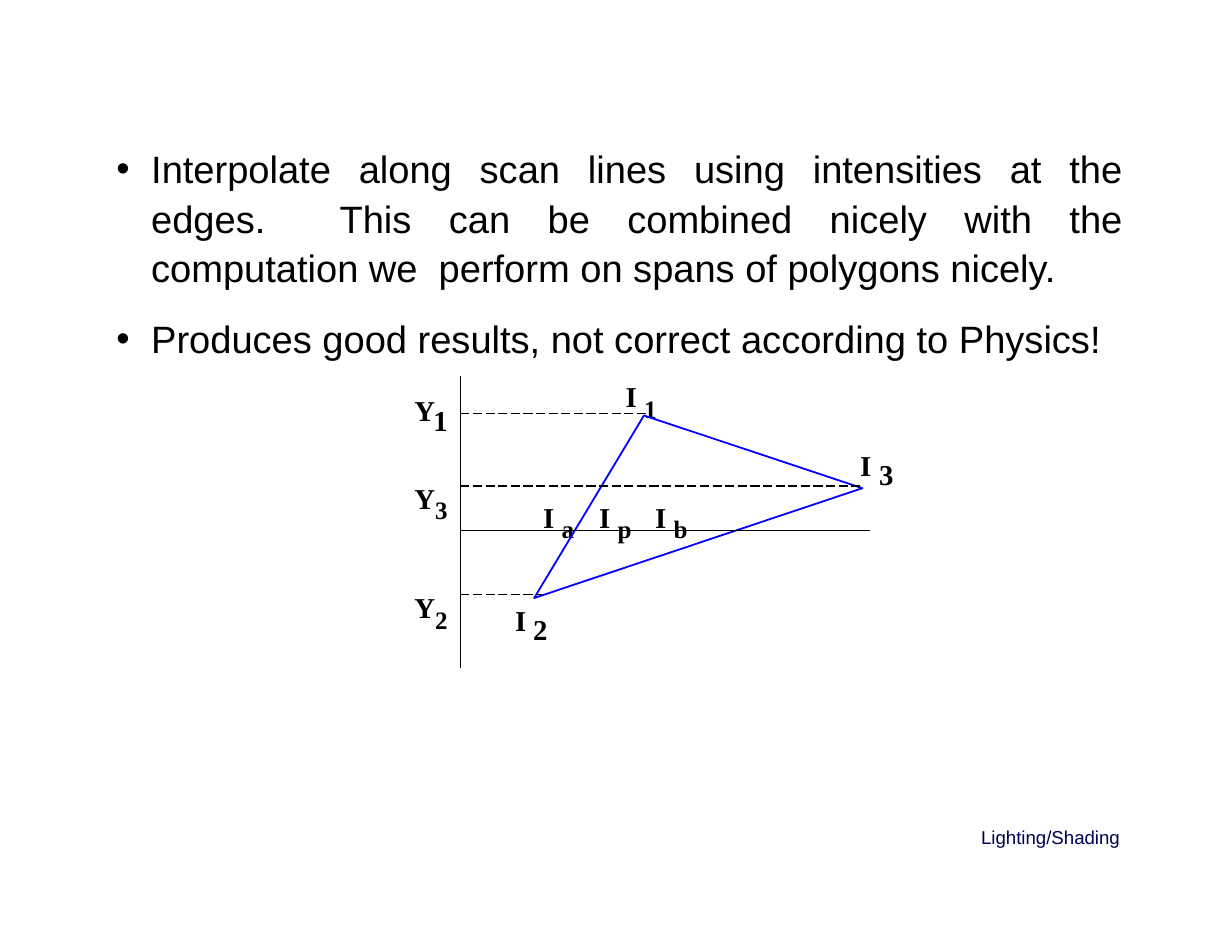
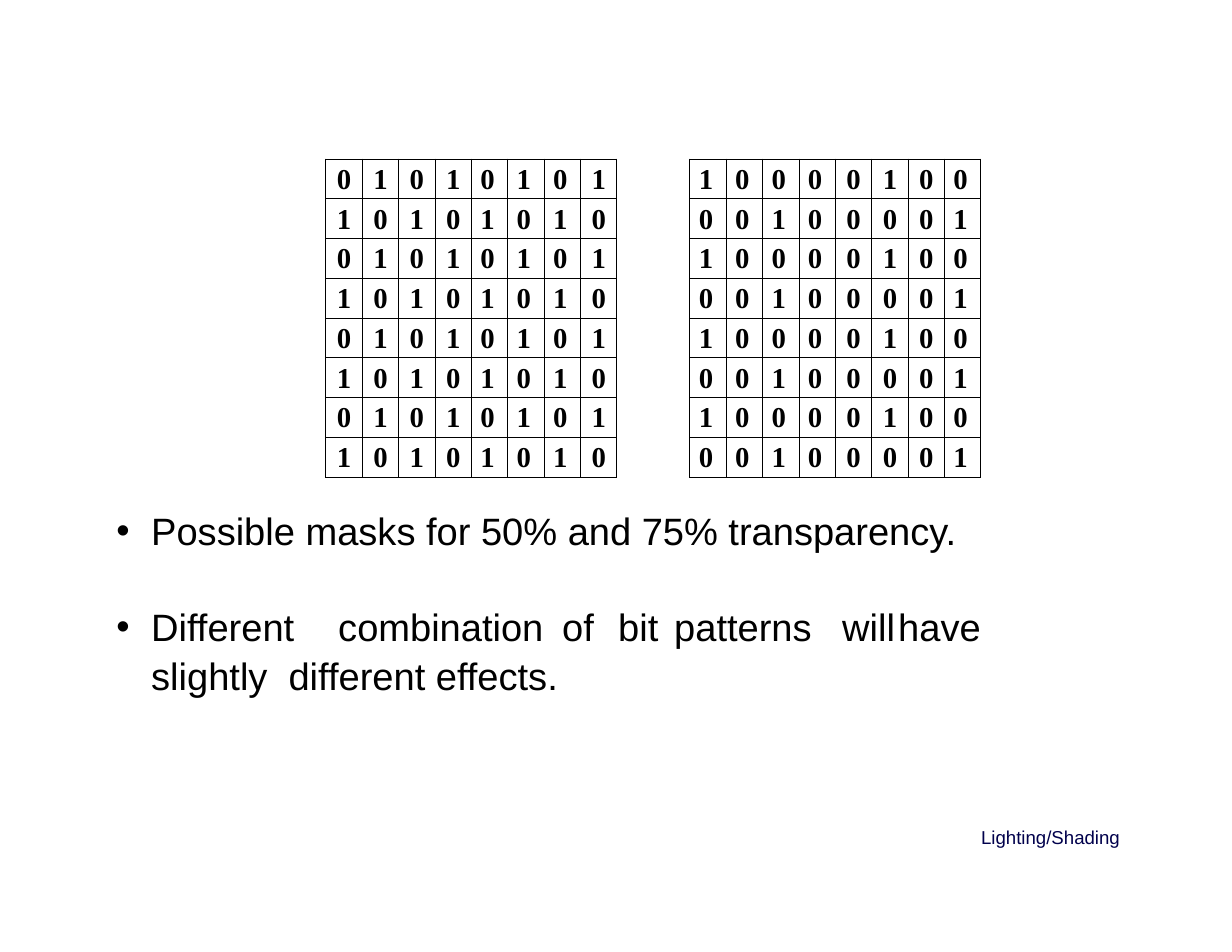
import lxml.etree
import pptx
import pptx.dml.color
import pptx.enum.dml
import pptx.enum.shapes
import pptx.enum.text
import pptx.oxml
import pptx.oxml.ns
import pptx.util

Inches = pptx.util.Inches
Pt = pptx.util.Pt
RGBColor = pptx.dml.color.RGBColor
ALIGN = pptx.enum.text.PP_ALIGN
LONG_DASH = pptx.enum.dml.MSO_LINE.LONG_DASH
qn = pptx.oxml.ns.qn

BLACK = RGBColor(0x00, 0x00, 0x00)
BLUE = RGBColor(0x00, 0x00, 0xFF)
NAVY = RGBColor(0x00, 0x00, 0x4C)

BODY_FONT = {"name": "Arial", "size": Pt(24.5)}
FOOTER_FONT = {"name": "Arial", "size": Pt(12)}
LABEL_FONT = {"name": "Times New Roman", "size": Pt(18.5), "bold": True}
SUBSCRIPT_FONT = {**LABEL_FONT, "size": Pt(27.8)}

MASK_SIZE = 8
MASK_50 = ["01010101", "10101010"] * 4
MASK_75 = ["10000100", "00100001"] * 4


def set_attributes(target, values):
    """Set every attribute named in a dict of format values."""
    for name, value in values.items():
        setattr(target, name, value)


def add_frame(slide, left, top, width, height, inset=0.02):
    """Add a wrapping text box and return its text frame."""
    frame = slide.shapes.add_textbox(
        Inches(left), Inches(top), Inches(width), Inches(height)).text_frame
    set_attributes(frame, {
        "word_wrap": True, "margin_left": 0, "margin_right": 0,
        "margin_top": Inches(inset), "margin_bottom": 0})
    return frame


def set_indent(paragraph, margin, first=0):
    """Set the left margin and first-line indent of a paragraph."""
    properties = paragraph._p.get_or_add_pPr()
    properties.set("marL", str(Inches(margin)))
    properties.set("indent", str(Inches(first)))
    return properties


def add_run(paragraph, text, font, color=BLACK):
    """Append a formatted run."""
    run = paragraph.add_run()
    run.text = text
    set_attributes(run.font, font)
    run.font.color.rgb = color
    return run


def add_label_runs(paragraph, parts):
    """Append parts that alternate between normal text and subscripts."""
    for index, part in enumerate(parts):
        if index % 2:
            run = add_run(paragraph, part, SUBSCRIPT_FONT)
            run._r.get_or_add_rPr().set("baseline", "-25000")
        else:
            add_run(paragraph, part, LABEL_FONT)


def add_bullet(paragraph, text, margin, spacing):
    """Fill a paragraph as a bulleted statement."""
    properties = set_indent(paragraph, margin, -0.31)
    color = lxml.etree.SubElement(properties, qn("a:buClr"))
    lxml.etree.SubElement(color, qn("a:srgbClr"), val=str(BLACK))
    lxml.etree.SubElement(properties, qn("a:buFont"), typeface="Arial")
    lxml.etree.SubElement(properties, qn("a:buChar"), char="•")
    set_attributes(paragraph, spacing)
    add_run(paragraph, text, BODY_FONT)


def add_footer(slide, left=8.75, top=7.34):
    """Write the lecture title at the lower right."""
    paragraph = add_frame(slide, left, top, 1.26, 0.21, 0).paragraphs[0]
    set_indent(paragraph, 0.01)
    paragraph.line_spacing = 1.18
    add_run(paragraph, "Lighting/Shading", FOOTER_FONT, NAVY)


def add_scan_text(slide, left, top):
    """Write the interpolation statements and the top vertex label."""
    frame = add_frame(slide, left, top, 9.02, 2.33, 0.01)
    add_bullet(
        frame.paragraphs[0],
        "Interpolate along scan lines using intensities at the edges.  This can be "
        "combined nicely with the computation we  perform on spans of polygons nicely.",
        0.34, {"alignment": ALIGN.JUSTIFY, "line_spacing": 1.08})
    add_bullet(
        frame.add_paragraph(),
        "Produces good results, not correct according to Physics!",
        0.34, {"space_before": Pt(16.2)})
    top_vertex = frame.add_paragraph()
    set_indent(top_vertex, 0.41)
    set_attributes(top_vertex, {"alignment": ALIGN.CENTER, "space_before": Pt(2.2)})
    add_label_runs(top_vertex, ["I ", "1"])


def add_scan_diagram(slide, left, top):
    """Draw the triangle, its axes, scan lines and labels."""
    labels = [
        (1.13, 0.95, 1.98, 0.06, ["I ", "a\t", "I ", "p\t", "I ", "b"]),
        (4.01, 0.62, 0.13, 0.01, ["I"]), (4.18, 0.7, 0.16, 0.01, ["3"]),
        (0.93, 2.0, 0.13, 0.01, ["I"]), (1.09, 2.08, 0.16, 0.01, ["2"]),
        (0, 1.76, 0.38, 0.04, ["Y", "2"]), (0, 0.78, 0.38, 0.04, ["Y", "3"]),
        (0.03, 0.13, 0.22, 0.01, ["Y"]), (0.2, 0.22, 0.16, 0.01, ["1"]),
    ]
    for x, y, width, margin, parts in labels:
        paragraph = add_frame(slide, left + x, top + y, width, 0.34).paragraphs[0]
        set_indent(paragraph, margin)
        add_label_runs(paragraph, parts)

    vertices = [(Inches(left + x), Inches(top + y))
                for x, y in [(1.11, 1.98), (2.09, 0.35), (4.04, 1)]]
    builder = slide.shapes.build_freeform(*vertices[0])
    builder.add_line_segments(vertices[1:], close=True)
    triangle = builder.convert_to_shape()
    triangle.shadow.inherit = False
    triangle.fill.background()
    triangle.line.color.rgb = BLUE
    triangle.line.width = Pt(1.17)

    axis = 0.45
    lines = [
        (axis, 2.6, axis, 0, None),
        (axis, 1.95, 1.18, 1.95, LONG_DASH),
        (axis, 0.33, 2.16, 0.33, LONG_DASH),
        (axis, 1.38, 4.11, 1.38, None),
        (axis, 0.98, 4.03, 0.98, LONG_DASH),
    ]
    for x1, y1, x2, y2, dash in lines:
        scan_line = slide.shapes.add_connector(
            pptx.enum.shapes.MSO_CONNECTOR.STRAIGHT,
            Inches(left + x1), Inches(top + y1), Inches(left + x2), Inches(top + y2))
        scan_line.line.color.rgb = BLACK
        set_attributes(scan_line.line, {"width": Pt(0.75), "dash_style": dash})
        lxml.etree.SubElement(scan_line._element.spPr, qn("a:effectLst"))


def add_cell_borders(cell):
    """Outline a cell with thin black lines."""
    properties = cell._tc.get_or_add_tcPr()
    for index, side in enumerate(("a:lnL", "a:lnR", "a:lnT", "a:lnB")):
        border = lxml.etree.Element(qn(side), w=str(Pt(0.75)))
        fill = lxml.etree.SubElement(border, qn("a:solidFill"))
        lxml.etree.SubElement(fill, qn("a:srgbClr"), val=str(BLACK))
        properties.insert(index, border)


def add_mask(slide, left, top, mask, indented_columns):
    """Place one transparency mask as a square bit table."""
    table = slide.shapes.add_table(
        MASK_SIZE, MASK_SIZE, Inches(left), Inches(top),
        Inches(2.6), Inches(2.81)).table
    set_attributes(table, {"first_row": False, "horz_banding": False})
    for row, bits in enumerate(mask):
        for column, bit in enumerate(bits):
            cell = table.cell(row, column)
            set_attributes(cell, {
                "margin_left": 0, "margin_right": 0,
                "margin_top": 0, "margin_bottom": 0})
            cell.fill.background()
            add_cell_borders(cell)
            paragraph = cell.text_frame.paragraphs[0]
            paragraph.line_spacing = 1.15
            if column in indented_columns:
                set_indent(paragraph, 0.08)
            else:
                paragraph.alignment = ALIGN.CENTER
            add_run(paragraph, bit, LABEL_FONT)


def add_mask_text(slide, left, top):
    """Write the statements about the masks."""
    frame = add_frame(slide, left, top, 8.99, 1.71)
    add_bullet(frame.paragraphs[0],
               "Possible masks for 50% and 75% transparency.", 0.33, {})
    add_bullet(
        frame.add_paragraph(),
        "Different\tcombination\tof\tbit\tpatterns\twill\thave\tslightly  different effects.",
        0.33, {"line_spacing": 1.08, "space_before": Pt(30)})


def build_interpolation_slide(slide):
    """Build the slide on interpolation along scan lines."""
    add_scan_text(slide, 1.01, 1.26)
    add_scan_diagram(slide, 3.66, 3.36)
    add_footer(slide)


def build_masks_slide(slide):
    """Build the slide on transparency masks."""
    add_footer(slide)
    add_mask(slide, 2.91, 1.42, MASK_50, {4, 5, 6})
    add_mask(slide, 6.16, 1.42, MASK_75, {0, 1, 2, 3, 7})
    add_mask_text(slide, 1.02, 4.51)


def main():
    """Build and save the presentation."""
    presentation = pptx.Presentation()
    set_attributes(presentation, {"slide_width": Inches(11), "slide_height": Inches(8.5)})
    for build in (build_interpolation_slide, build_masks_slide):
        build(presentation.slides.add_slide(presentation.slide_layouts[6]))
    presentation.save("out.pptx")


if __name__ == "__main__":
    main()
